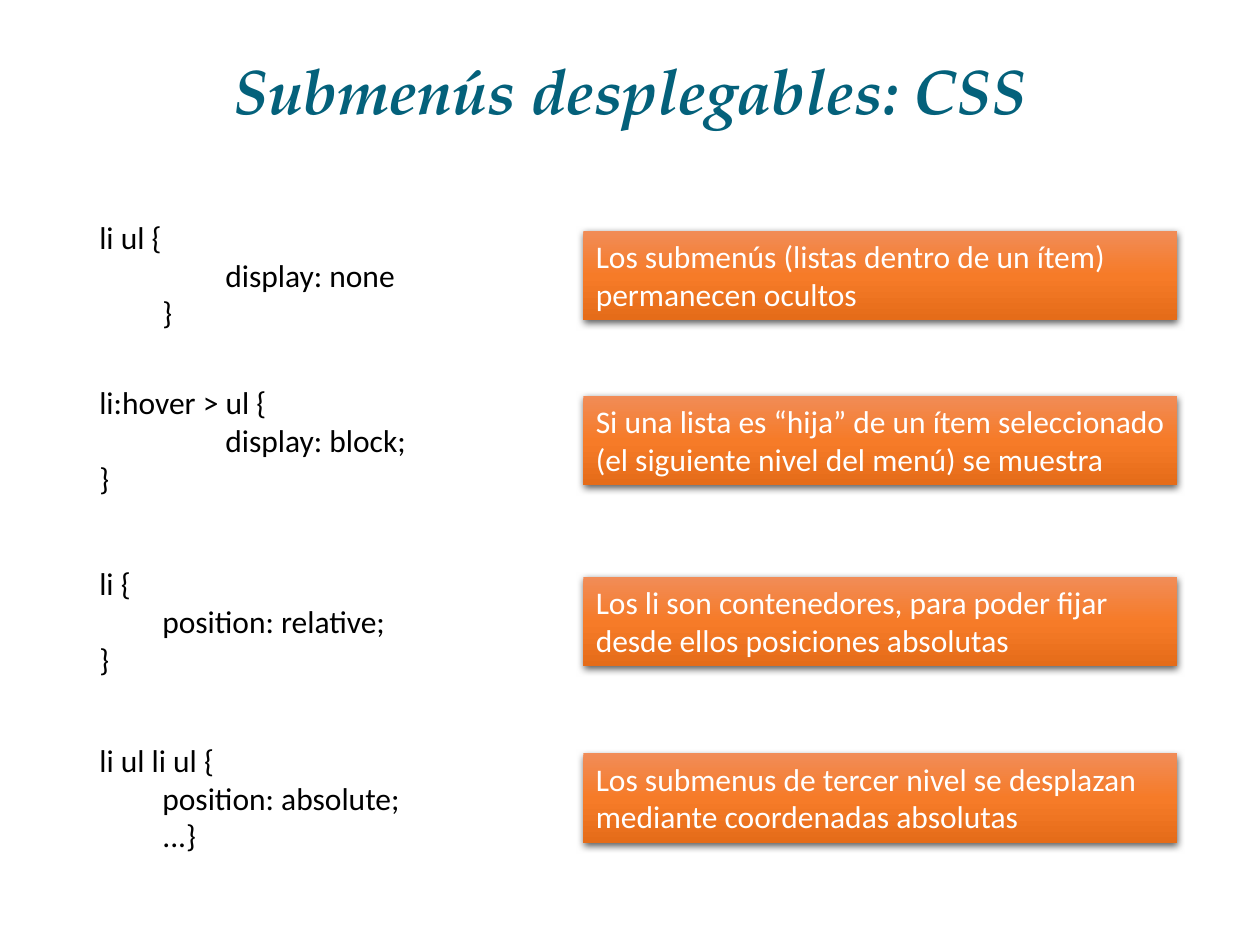
from copy import deepcopy
from dataclasses import dataclass

from lxml.etree import SubElement
from pptx import Presentation
from pptx.dml.color import RGBColor
from pptx.enum.shapes import MSO_SHAPE
from pptx.enum.text import MSO_ANCHOR, MSO_AUTO_SIZE, PP_ALIGN
from pptx.oxml.ns import qn
from pptx.slide import Slide
from pptx.text.text import TextFrame
from pptx.util import Inches, Pt

TEAL = RGBColor(0x04, 0x61, 0x7B)
BLACK = RGBColor(0, 0, 0)
WHITE = RGBColor(0xFF, 0xFF, 0xFF)
ORANGES = (
    RGBColor(0xF1, 0x8C, 0x57),
    RGBColor(0xF6, 0x7B, 0x28),
    RGBColor(0xE5, 0x6C, 0x19),
)

CODE_LEFT = 0.69
CODE_HEIGHT = 1.01
NOTE_LEFT, NOTE_WIDTH, NOTE_HEIGHT = 4.63, 4.71, 0.71
NOTE_RIGHT_MARGIN = 0.05
TAB_STEP = 0.5


@dataclass(frozen=True)
class Rule:
    top: float
    code: str
    note: str
    code_width: float = 2.74


RULES = (
    Rule(1.68, "li ul {\n\t \tdisplay: none\n\t}",
         "Los submenús (listas dentro de un ítem) permanecen ocultos"),
    Rule(2.99, "li:hover > ul {\n\t \tdisplay: block;\n}",
         "Si una lista es “hija” de un ítem seleccionado\n"
         "(el siguiente nivel del menú) se muestra"),
    Rule(4.43, "li {\n\tposition: relative;\n}",
         "Los li son contenedores, para poder fijar desde ellos posiciones absolutas"),
    Rule(5.83, "li ul li ul {\n\tposition: absolute;\n\t...}",
         "Los submenus de tercer nivel se desplazan mediante coordenadas absolutas",
         code_width=2.98),
)


def write(frame: TextFrame, text: str, *, color: RGBColor, size: float = 18,
          font: str = "Calibri", bold: bool = False, italic: bool = False,
          align: PP_ALIGN = PP_ALIGN.LEFT, anchor: MSO_ANCHOR = MSO_ANCHOR.TOP,
          spacing: float = 1.0, right_margin: float = 0.1, tabs: int = 0,
          autosize: MSO_AUTO_SIZE = MSO_AUTO_SIZE.SHAPE_TO_FIT_TEXT) -> None:
    frame.text = text
    frame.word_wrap = True
    frame.auto_size = autosize
    frame.vertical_anchor = anchor
    frame.margin_right = Inches(right_margin)
    for paragraph in frame.paragraphs:
        paragraph.alignment = align
        paragraph.line_spacing = spacing
        if tabs:
            stops = SubElement(paragraph._p.get_or_add_pPr(), qn("a:tabLst"))
            for column in range(1, tabs + 1):
                SubElement(stops, qn("a:tab"), pos=str(Inches(TAB_STEP * column)), algn="l")
        for run in paragraph.runs:
            run.font.name = font
            run.font.size = Pt(size)
            run.font.bold = bold
            run.font.italic = italic
            run.font.color.rgb = color


def add_title(slide: Slide, text: str) -> None:
    title = slide.shapes.title
    title.left, title.top = Inches(0.69), Inches(0.4)
    title.width, title.height = Inches(8.62), Inches(0.7)
    write(title.text_frame, text, color=TEAL, size=36, font="TeX Gyre Pagella",
          bold=True, italic=True, align=PP_ALIGN.CENTER, anchor=MSO_ANCHOR.MIDDLE,
          spacing=0.9, autosize=MSO_AUTO_SIZE.NONE)


def add_code(slide: Slide, rule: Rule) -> None:
    code = slide.shapes.add_textbox(Inches(CODE_LEFT), Inches(rule.top),
                                    Inches(rule.code_width), Inches(CODE_HEIGHT))
    write(code.text_frame, rule.code, color=BLACK, tabs=2)


def add_note(slide: Slide, rule: Rule) -> None:
    top = rule.top + (CODE_HEIGHT - NOTE_HEIGHT) / 2
    note = slide.shapes.add_shape(MSO_SHAPE.RECTANGLE, Inches(NOTE_LEFT), Inches(top),
                                  Inches(NOTE_WIDTH), Inches(NOTE_HEIGHT))
    note.fill.gradient()
    note.fill.gradient_angle = 270
    stop_list = note._element.spPr.find(f".//{qn('a:gsLst')}")
    stop_list.append(deepcopy(stop_list[0]))
    for index, (stop, orange) in enumerate(zip(note.fill.gradient_stops, ORANGES)):
        stop.position = index / (len(ORANGES) - 1)
        stop.color.rgb = orange
    note.line.fill.background()
    note.shadow.inherit = False
    effects = note._element.spPr.find(qn("a:effectLst"))
    shadow = SubElement(effects, qn("a:outerShdw"), blurRad=str(Pt(4.5)),
                        dist=str(Pt(1.5)), dir="5400000", algn="ctr", rotWithShape="0")
    shade = SubElement(shadow, qn("a:srgbClr"), val=str(BLACK))
    SubElement(shade, qn("a:alpha"), val="63000")
    write(note.text_frame, rule.note, color=WHITE, right_margin=NOTE_RIGHT_MARGIN)


def main() -> None:
    deck = Presentation()
    deck.slide_width, deck.slide_height = Inches(10), Inches(7.5)
    slide = deck.slides.add_slide(deck.slide_layouts.get_by_name("Title Only"))
    add_title(slide, "Submenús desplegables: CSS")
    for rule in RULES:
        add_code(slide, rule)
        add_note(slide, rule)
    deck.save("out.pptx")


if __name__ == "__main__":
    main()
